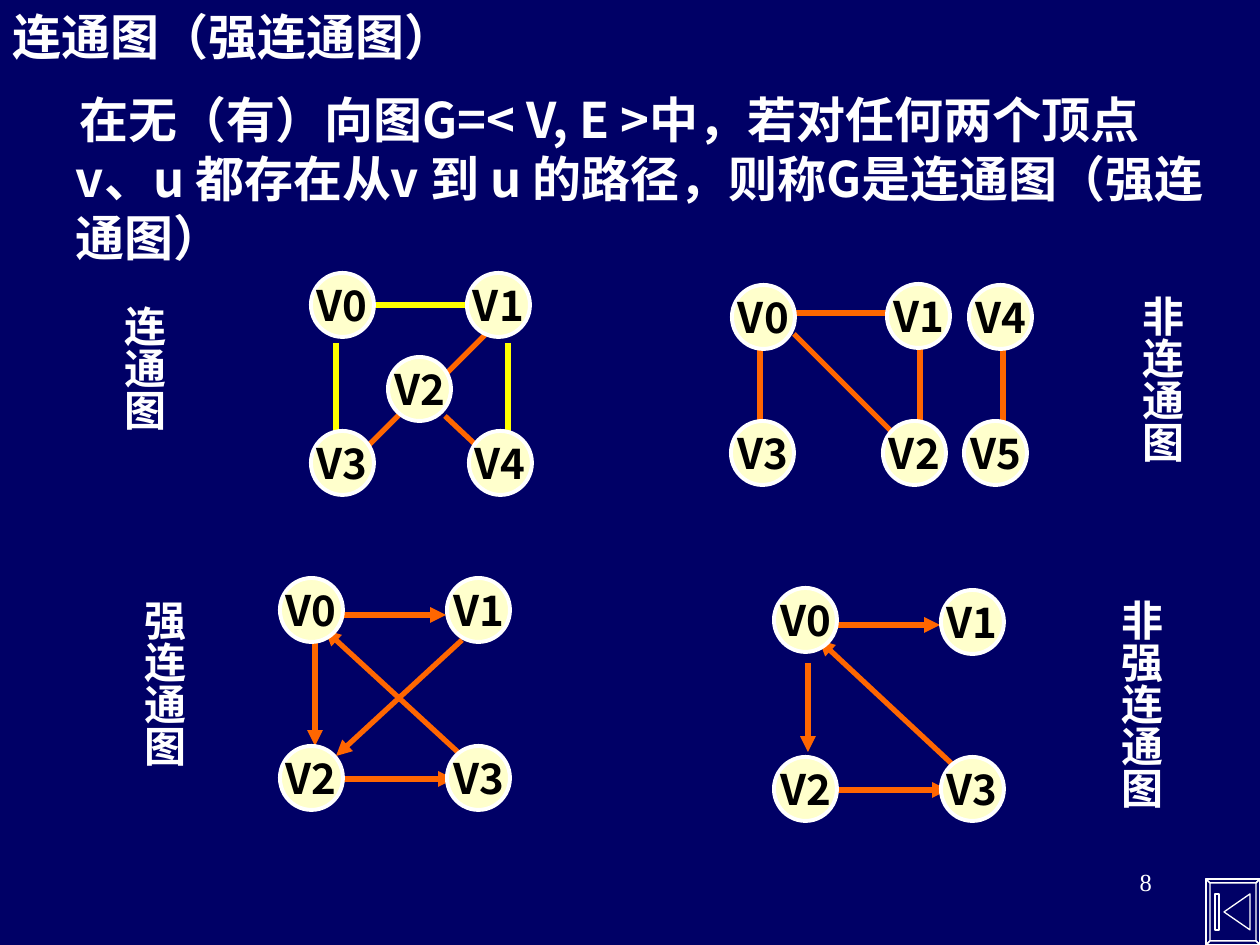
from pptx import Presentation
from pptx.dml.color import RGBColor
from pptx.enum.shapes import MSO_CONNECTOR, MSO_SHAPE
from pptx.enum.text import MSO_ANCHOR, MSO_AUTO_SIZE, PP_ALIGN
from pptx.oxml.ns import qn
from pptx.util import Emu, Pt

STRAIGHT = MSO_CONNECTOR.STRAIGHT
OVAL = MSO_SHAPE.OVAL
TOP, MIDDLE = MSO_ANCHOR.TOP, MSO_ANCHOR.MIDDLE
LEFT, CENTER, RIGHT = PP_ALIGN.LEFT, PP_ALIGN.CENTER, PP_ALIGN.RIGHT

PX_PER_INCH = 126
SANS, SERIF = "Noto Sans CJK SC", "Times New Roman"
NAVY, CREAM, WHITE, BLACK = "000066", "FFFFCC", "FFFFFF", "000000"
ORANGE, YELLOW = "FF6600", "FFFF00"
NODE_SIZE = (63, 64)

# Each graph: nodes as name -> left, top; edges as x1, y1, x2, y2 per colour
CONNECTED = (
    {"V0": (311, 273), "V1": (467, 273), "V2": (388, 357),
     "V3": (311, 431), "V4": (469, 431)},
    {YELLOW: [(336, 343, 336, 433), (373, 305, 478, 305), (508, 343, 508, 433)],
     ORANGE: [(403, 411, 365, 449), (485, 335, 447, 373), (445, 416, 478, 447)]},
)
UNCONNECTED_MAIN = (
    {"V0": (732, 285), "V1": (887, 284), "V2": (883, 421), "V3": (731, 421)},
    {ORANGE: [(794, 334, 897, 437), (760, 347, 760, 427),
              (795, 313, 892, 313), (920, 347, 920, 427)]},
)
UNCONNECTED_PAIR = (
    {"V4": (969, 285), "V5": (964, 421)},
    {ORANGE: [(1003, 341, 1003, 422)]},
)
STRONG = (
    {"V0": (280, 578), "V1": (447, 578), "V2": (280, 746), "V3": (447, 746)},
    {ORANGE: [(315, 640, 315, 746), (343, 779, 454, 779), (343, 615, 446, 615),
              (473, 766, 325, 630), (462, 640, 336, 756)]},
)
NOT_STRONG = (
    {"V0": (774, 588), "V1": (941, 590), "V2": (774, 757), "V3": (941, 757)},
    {ORANGE: [(808, 663, 808, 752), (837, 790, 948, 790),
              (837, 625, 940, 625), (966, 777, 819, 640)]},
)
LABELS = [("连通图", 106, 293), ("非连通图", 1124, 283),
          ("强连通图", 126, 587), ("非强连通图", 1103, 587)]


def px(value):
    return Emu(round(value * 914400 / PX_PER_INCH))


def color(hex_string):
    return RGBColor.from_string(hex_string)


def write(shape, text, size, fill=WHITE, font=SANS, align=LEFT, anchor=TOP,
          insets=(13, 6), wrap=True):
    """Put one formatted paragraph into a shape and return the paragraph."""
    frame = shape.text_frame
    frame.auto_size = MSO_AUTO_SIZE.NONE
    frame.word_wrap = wrap
    frame.vertical_anchor = anchor
    frame.margin_left = frame.margin_right = px(insets[0])
    frame.margin_top = frame.margin_bottom = px(insets[1])
    para = frame.paragraphs[0]
    para.alignment = align
    para.space_before = Pt(0)
    span = para.add_run()
    span.text = text
    span.font.size = Pt(size)
    span.font.bold = font == SANS
    span.font.name = font
    span.font.color.rgb = color(fill)
    east_asian = span.font._element.makeelement(qn("a:ea"), {"typeface": font})
    span.font._element.find(qn("a:latin")).addnext(east_asian)
    return para


def add_text(page, text, left, top, width, height, size, **style):
    box = page.shapes.add_textbox(px(left), px(top), px(width), px(height))
    return box, write(box, text, size, **style)


def add_title(page, text):
    title = page.shapes.title
    title.left, title.top, title.width, title.height = map(px, (0, 0, 1260, 71))
    write(title, text, 28)


def add_definition(page, text):
    box, para = add_text(page, text, 0, 84, 1225, 188, 28)
    properties = para._p.get_or_add_pPr()
    properties.set("marL", str(px(63)))
    properties.set("indent", str(px(4)))


def add_label(page, text, left, top):
    """Add a label whose characters run downwards."""
    box, para = add_text(page, text, left, top, 76, 273, 24, align=CENTER,
                         anchor=MIDDLE, insets=(6, 13))
    box.text_frame._txBody.bodyPr.set("vert", "eaVert")


def add_edge(group, ends, stroke, directed):
    edge = group.shapes.add_connector(STRAIGHT, *map(px, ends))
    edge.line.color.rgb = color(stroke)
    edge.line.width = Pt(3)
    if directed:
        line = edge.line._get_or_add_ln()
        line.append(line.makeelement(qn("a:tailEnd"), {"type": "triangle"}))
    properties = edge._element.spPr
    properties.append(properties.makeelement(qn("a:effectLst"), {}))


def add_node(group, name, left, top):
    node = group.shapes.add_shape(OVAL, px(left), px(top), *map(px, NODE_SIZE))
    node.shadow.inherit = False
    node.fill.solid()
    node.fill.fore_color.rgb = color(CREAM)
    node.line.color.rgb = color(WHITE)
    node.line.width = Pt(2.25)
    write(node, name, 24, fill=BLACK, align=CENTER, anchor=MIDDLE,
          insets=(0, 0), wrap=False)


def add_graph(page, graph, directed=False):
    nodes, edges = graph
    group = page.shapes.add_group_shape()
    for stroke, lines in edges.items():
        for ends in lines:
            add_edge(group, ends, stroke, directed)
    for name, place in nodes.items():
        add_node(group, name, *place)


def add_back_button(page):
    """Outline a bevelled button with a bar and a left-pointing triangle."""
    outer = [(1206, 879), (1260, 879), (1260, 945), (1206, 945)]
    inner = [(1210, 883), (1256, 883), (1256, 941), (1210, 941)]
    bevels = [[outer[i], outer[(i + 1) % 4], inner[(i + 1) % 4], inner[i]]
              for i in range(4)]
    triangle = [(1224, 912), (1250, 894), (1250, 930)]
    bar = [(1215, 894), (1219, 894), (1219, 930), (1215, 930)]
    builder = page.shapes.build_freeform(*outer[0], scale=px(1))
    builder.add_line_segments(outer[1:], close=True)
    for contour in [*bevels, triangle, bar]:
        builder.move_to(*contour[0])
        builder.add_line_segments(contour[1:], close=True)
    button = builder.convert_to_shape()
    button.shadow.inherit = False
    button.fill.background()
    button.line.color.rgb = color(WHITE)
    button.line.width = Pt(0.75)


def main():
    deck = Presentation()
    deck.slide_width, deck.slide_height = px(1260), px(945)
    page = deck.slides.add_slide(deck.slide_layouts[5])
    page.background.fill.solid()
    page.background.fill.fore_color.rgb = color(NAVY)

    add_title(page, "连通图（强连通图）")
    add_definition(page, "在无（有）向图G=< V, E >中，若对任何两个顶点 v、u 都存在"
                         "从v 到 u 的路径，则称G是连通图（强连通图）")
    for label in LABELS:
        add_label(page, *label)
    for graph in (CONNECTED, UNCONNECTED_MAIN, UNCONNECTED_PAIR):
        add_graph(page, graph)
    for graph in (STRONG, NOT_STRONG):
        add_graph(page, graph, directed=True)
    add_text(page, "8", 903, 861, 262, 63, 14, font=SERIF, align=RIGHT)
    add_back_button(page)
    deck.save("out.pptx")


if __name__ == "__main__":
    main()
